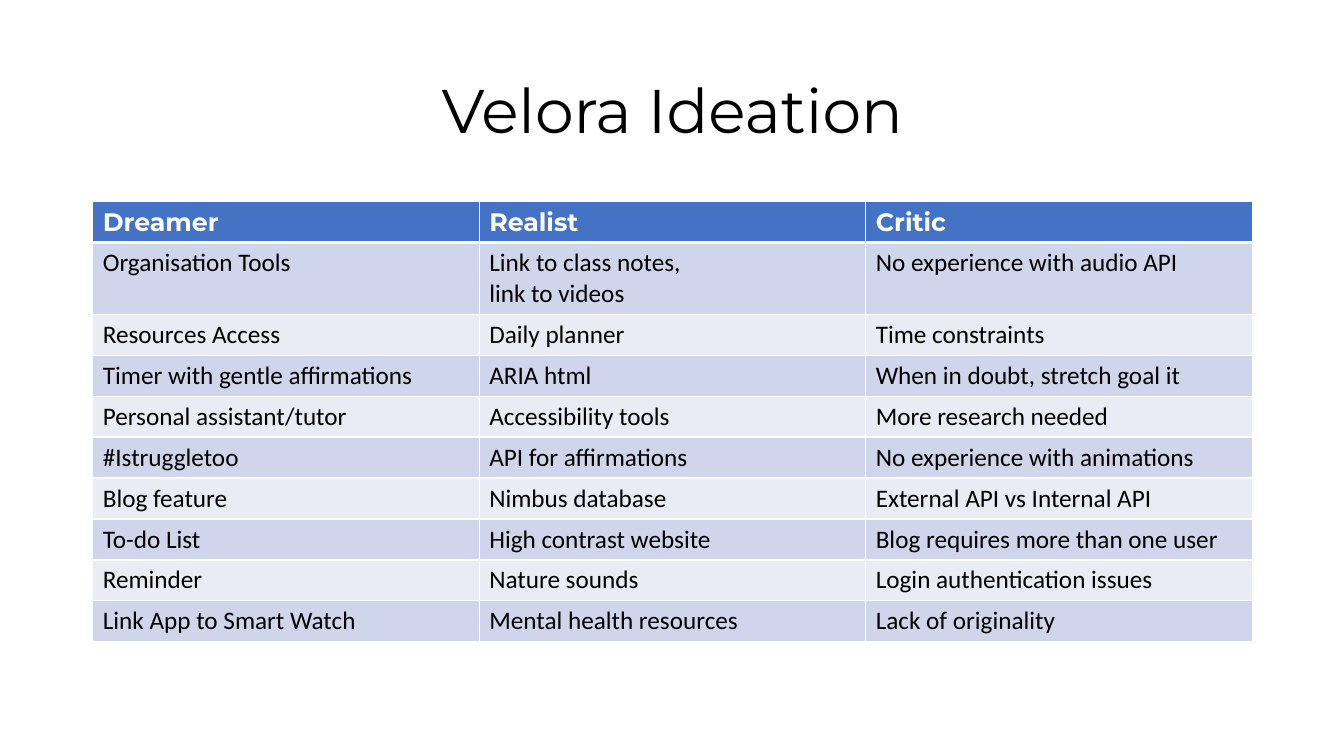
from dataclasses import dataclass

from lxml import etree
from pptx import Presentation
from pptx import util as u
from pptx.dml.color import RGBColor
from pptx.enum import text
from pptx.oxml import ns

COLORS = {
    "white": "FFFFFF",
    "ink": "000000",
    "header": "4472C4",
    "odd_row": "CFD5EA",
    "even_row": "E9EBF5",
}


@dataclass(frozen=True)
class Style:
    font: str
    size: int
    color: str
    bold: bool = False


@dataclass(frozen=True)
class Idea:
    dreamer: list[str]
    realist: list[str]
    critic: list[str]


TITLE = Style("Montserrat", 44, "ink")
HEADING = Style("Montserrat", 18, "white", True)
BODY = Style("Calibri", 18, "ink")

IDEAS = [
    Idea(["Dreamer"], ["Realist"], ["Critic"]),
    Idea(["Organisation Tools"], ["Link to class notes, ", "link to videos"],
         ["No experience with audio API"]),
    Idea(["Resources Access"], ["Daily planner"], ["Time constraints"]),
    Idea(["Timer with gentle affirmations"], ["ARIA html"],
         ["When in doubt, stretch goal it"]),
    Idea(["Personal assistant/tutor"], ["Accessibility tools"],
         ["More research needed"]),
    Idea(["#Istruggletoo"], ["API for affirmations"],
         ["No experience with animations"]),
    Idea(["Blog feature"], ["Nimbus database"], ["External API vs Internal API"]),
    Idea(["To-do List"], ["High contrast website"],
         ["Blog requires more than one user"]),
    Idea(["Reminder"], ["Nature sounds"], ["Login authentication issues"]),
    Idea(["Link App to Smart Watch"], ["Mental health resources"],
         ["Lack of originality"]),
]

LEFT, WIDTH = u.Inches(0.92), u.Inches(11.5)
TABLE_TOP, TABLE_HEIGHT = u.Inches(2), u.Inches(4.36)
TWO_LINE_HEIGHT = u.Inches(0.7)
ONE_LINE_HEIGHT = (TABLE_HEIGHT - TWO_LINE_HEIGHT) // (len(IDEAS) - 1)


def rgb(name: str) -> RGBColor:
    return RGBColor.from_string(COLORS[name])


def write(frame, lines: list[str], style: Style) -> None:
    for index, line in enumerate(lines):
        paragraph = frame.add_paragraph() if index else frame.paragraphs[0]
        run = paragraph.add_run()
        run.text = line
        run.font.name = style.font
        run.font.size = u.Pt(style.size)
        run.font.bold = style.bold
        run.font.color.rgb = rgb(style.color)


def add_borders(cell, bottom: int, top: int) -> None:
    properties = cell._tc.get_or_add_tcPr()
    widths = {"a:lnL": 1, "a:lnR": 1, "a:lnT": top, "a:lnB": bottom}
    for index, (edge, width) in enumerate(widths.items()):
        line = etree.Element(ns.qn(edge), w=str(u.Pt(width)))
        fill = etree.SubElement(line, ns.qn("a:solidFill"))
        etree.SubElement(fill, ns.qn("a:srgbClr"), val=COLORS["white"])
        properties.insert(index, line)


def fill_cell(cell, lines: list[str], row: int) -> None:
    write(cell.text_frame, lines, BODY if row else HEADING)
    cell.fill.solid()
    band = "odd_row" if row % 2 else "even_row"
    cell.fill.fore_color.rgb = rgb(band if row else "header")
    add_borders(cell, bottom=1 if row else 3, top=3 if row == 1 else 1)


def add_title(slide) -> None:
    title = slide.shapes.title
    title.left, title.top = LEFT, u.Inches(0.4)
    title.width, title.height = WIDTH, u.Inches(1.45)
    frame = title.text_frame
    frame.vertical_anchor = text.MSO_ANCHOR.MIDDLE
    frame.word_wrap = True
    write(frame, ["Velora Ideation"], TITLE)
    frame.paragraphs[0].alignment = text.PP_ALIGN.CENTER
    frame.paragraphs[0].line_spacing = 0.9


def add_ideas(slide) -> None:
    ideas = slide.shapes.add_table(
        len(IDEAS), 3, LEFT, TABLE_TOP, WIDTH, TABLE_HEIGHT).table
    for column in ideas.columns:
        column.width = WIDTH // 3
    for row, idea in enumerate(IDEAS):
        roles = [idea.dreamer, idea.realist, idea.critic]
        two_lines = max(map(len, roles)) > 1
        ideas.rows[row].height = TWO_LINE_HEIGHT if two_lines else ONE_LINE_HEIGHT
        for column, lines in enumerate(roles):
            fill_cell(ideas.cell(row, column), lines, row)


deck = Presentation()
deck.slide_width, deck.slide_height = u.Inches(13.33), u.Inches(7.5)
ideation = deck.slides.add_slide(deck.slide_layouts[5])
ideation.background.fill.solid()
ideation.background.fill.fore_color.rgb = rgb("white")
add_title(ideation)
add_ideas(ideation)
deck.save("out.pptx")
